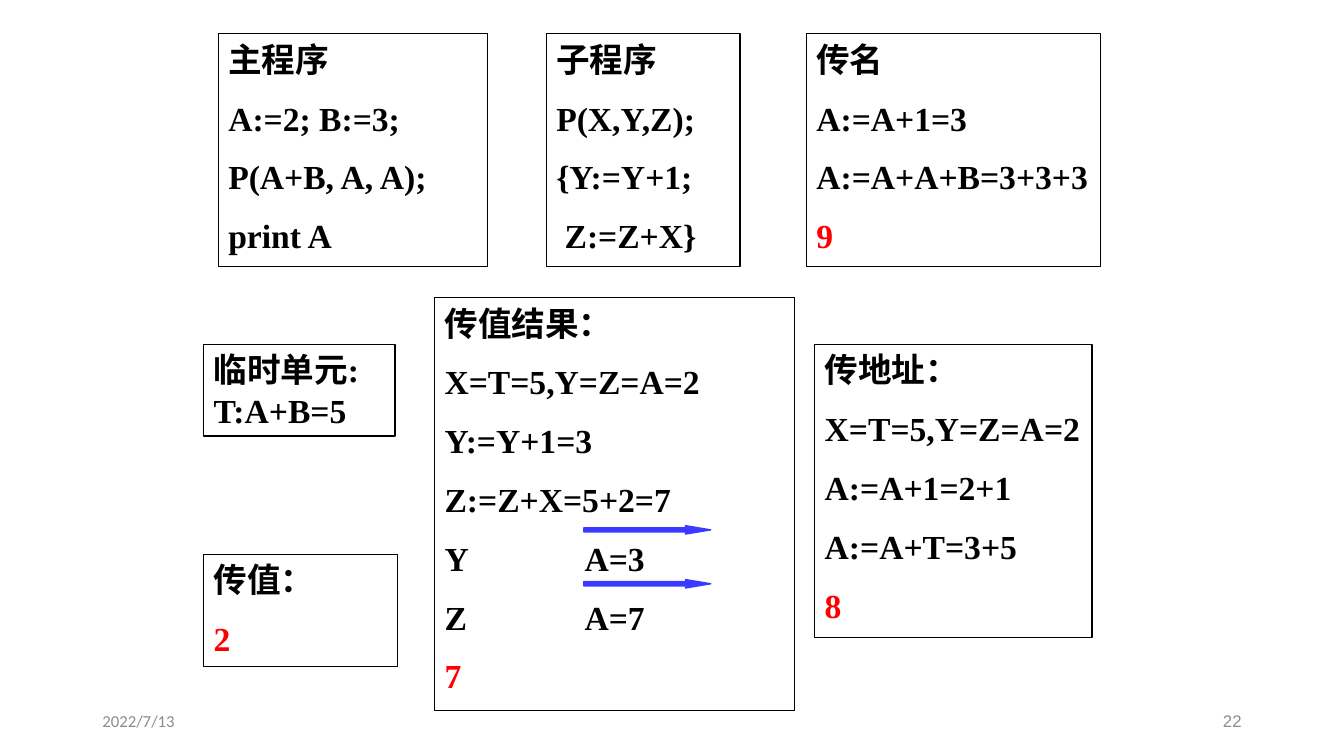
"""Build the slide comparing parameter passing modes of a subprogram call."""
from dataclasses import dataclass

from lxml import etree
from pptx import Presentation
from pptx.dml.color import RGBColor
from pptx.enum import shapes, text
from pptx.oxml import ns
from pptx.util import Pt

COLORS = {"ink": "000000", "result": "FF0000", "arrow": "3B3BFF", "footer": "8C8C8C"}
TAB_STOP = Pt(100)


@dataclass
class Box:
    left: float
    top: float
    width: float
    height: float
    lines: list[str]
    result: str = ""


@dataclass
class Footer:
    left: float
    text: str
    font: str
    align: text.PP_ALIGN


BOXES = [
    Box(390.25, 24, 138.25, 166.3, ["子程序", "P(X,Y,Z);", "{Y:=Y+1;", " Z:=Z+X}"]),
    Box(145.5, 396, 138.25, 80, ["传值："], "2"),
    Box(582, 246, 198, 209.5,
        ["传地址：", "X=T=5,Y=Z=A=2", "A:=A+1=2+1", "A:=A+T=3+5"], "8"),
    Box(310.5, 212.5, 257, 295.2,
        ["传值结果：", "X=T=5,Y=Z=A=2", "Y:=Y+1=3", "Z:=Z+X=5+2=7", "Y\tA=3", "Z\tA=7"], "7"),
    Box(576, 24, 210.25, 166.3, ["传名", "A:=A+1=3", "A:=A+A+B=3+3+3"], "9"),
    Box(156, 24, 192.25, 166.3, ["主程序", "A:=2; B:=3;", "P(A+B, A, A);", "print A"]),
    Box(145.5, 246, 136.8, 65.5, ["临时单元: T:A+B=5"]),
]
FOOTERS = [
    Footer(66, "2022/7/13", "Calibri", text.PP_ALIGN.LEFT),
    Footer(678, "22", "Arial", text.PP_ALIGN.RIGHT),
]
ARROW_TOPS = [414, 375.5]


def rgb(name: str) -> RGBColor:
    return RGBColor.from_string(COLORS[name])


def write(p, words: str, *, size: float = 24, font: str = "Times New Roman",
          color: str = "ink", bold: bool = True, before: float = 0,
          align: text.PP_ALIGN = text.PP_ALIGN.LEFT) -> None:
    p.alignment = align
    p.space_before = Pt(before)
    if "\t" in words:
        tabs = etree.SubElement(p._p.get_or_add_pPr(), ns.qn("a:tabLst"))
        etree.SubElement(tabs, ns.qn("a:tab"), pos=str(TAB_STOP), algn="l")
    r = p.add_run()
    r.text = words
    r.font.size, r.font.name, r.font.bold = Pt(size), font, bold
    r.font.color.rgb = rgb(color)


def add_preset(s, kind, left: float, top: float, width: float, height: float, line: str):
    sp = s.shapes.add_shape(kind, Pt(left), Pt(top), Pt(width), Pt(height))
    sp.shadow.inherit = False
    sp.line.color.rgb = rgb(line)
    sp.line.width = Pt(1)
    return sp


def add_box(s, box: Box) -> None:
    sp = add_preset(s, shapes.MSO_SHAPE.RECTANGLE, box.left, box.top,
                    box.width, box.height, "ink")
    sp.fill.background()
    tf = sp.text_frame
    tf.word_wrap = True
    tf.vertical_anchor = text.MSO_ANCHOR.TOP
    rows = [(line, "ink") for line in box.lines]
    if box.result:
        rows.append((box.result, "result"))
    for i, (words, color) in enumerate(rows):
        p = tf.add_paragraph() if i else tf.paragraphs[0]
        write(p, words, color=color, before=13.2 if i else 0)


def add_arrow(s, top: float) -> None:
    sp = add_preset(s, shapes.MSO_SHAPE.RIGHT_ARROW, 417, top, 90.7, 6, "arrow")
    sp.adjustments[0], sp.adjustments[1] = 0.5, 3
    sp.fill.solid()
    sp.fill.fore_color.rgb = rgb("arrow")


def add_footer(s, footer: Footer) -> None:
    tf = s.shapes.add_textbox(Pt(footer.left), Pt(500.5), Pt(216), Pt(28.75)).text_frame
    tf.word_wrap = True
    tf.vertical_anchor = text.MSO_ANCHOR.MIDDLE
    write(tf.paragraphs[0], footer.text, size=12, font=footer.font,
          color="footer", bold=False, align=footer.align)


def main() -> None:
    prs = Presentation()
    prs.slide_width, prs.slide_height = Pt(960), Pt(540)
    s = prs.slides.add_slide(prs.slide_layouts[6])
    for footer in FOOTERS:
        add_footer(s, footer)
    for box in BOXES:
        add_box(s, box)
    for top in ARROW_TOPS:
        add_arrow(s, top)
    prs.save("out.pptx")


if __name__ == "__main__":
    main()
